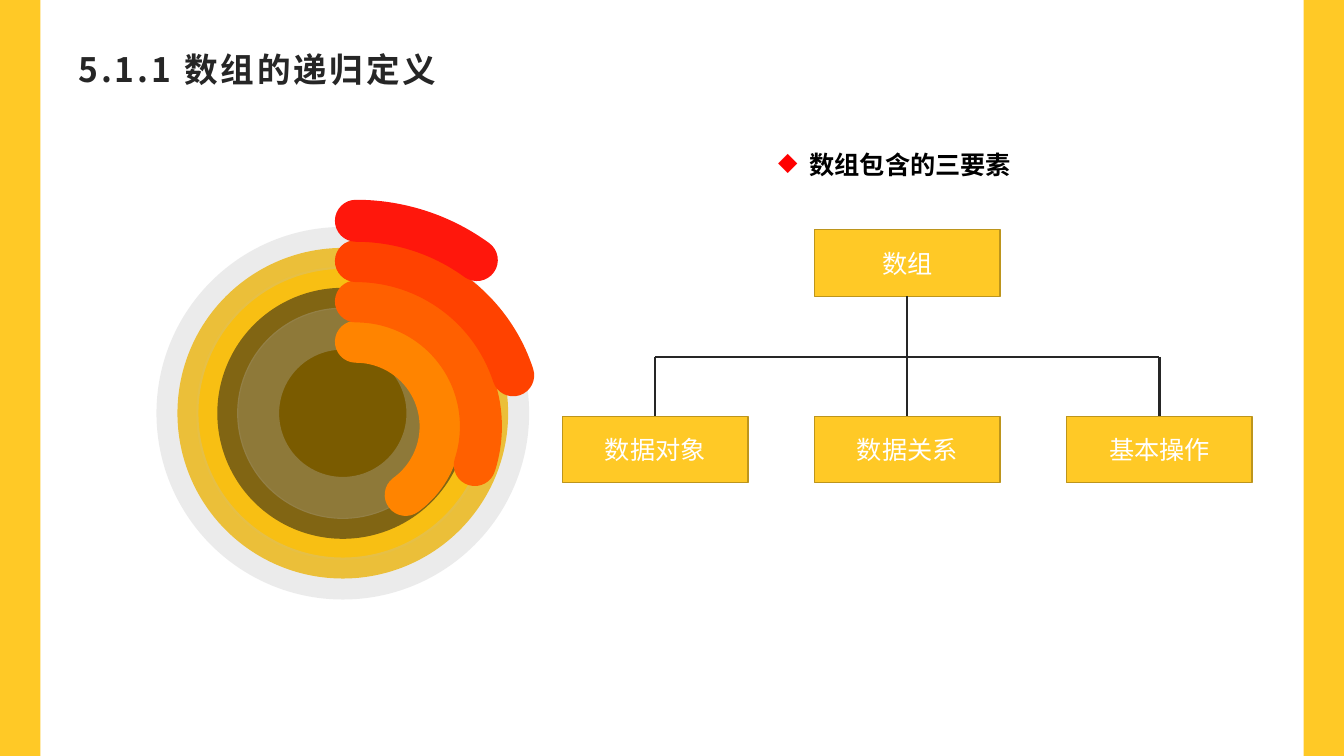
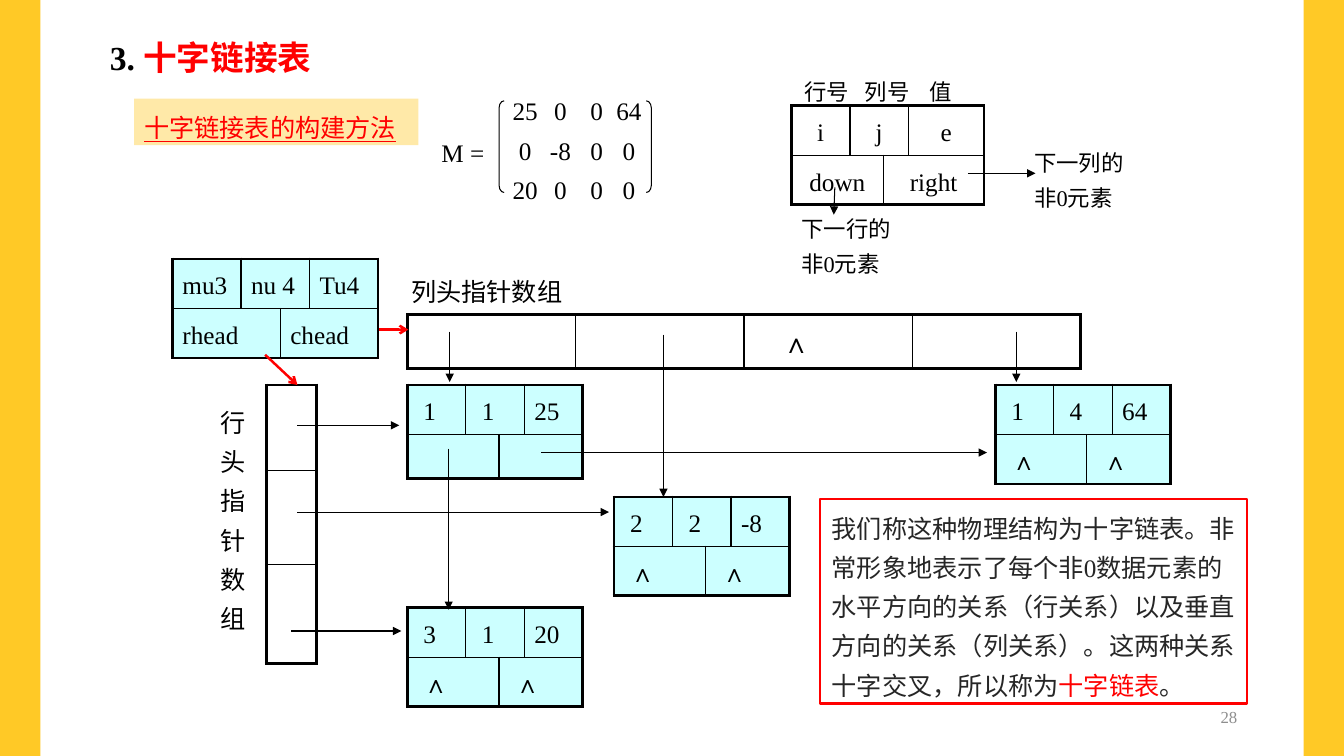
from dataclasses import dataclass

from lxml import etree
from pptx import Presentation
from pptx.dml.color import RGBColor
from pptx.enum.shapes import MSO_CONNECTOR, MSO_SHAPE
from pptx.enum.text import MSO_ANCHOR, PP_ALIGN
from pptx.oxml.ns import qn
from pptx.util import Inches, Pt

RECT, OVAL, ARC = MSO_SHAPE.RECTANGLE, MSO_SHAPE.OVAL, MSO_SHAPE.ARC
LEFT_BRACKET, RIGHT_BRACKET = MSO_SHAPE.LEFT_BRACKET, MSO_SHAPE.RIGHT_BRACKET
STRAIGHT = MSO_CONNECTOR.STRAIGHT
TOP, MIDDLE = MSO_ANCHOR.TOP, MSO_ANCHOR.MIDDLE
LEFT, CENTER, RIGHT = PP_ALIGN.LEFT, PP_ALIGN.CENTER, PP_ALIGN.RIGHT


@dataclass(frozen=True)
class Theme:
    latin: str = "Times New Roman"
    cjk: str = "Noto Sans CJK SC"
    yellow: str = "FFC926"
    yellow_edge: str = "BD951C"
    cream: str = "FFE9A8"
    gold: str = "FFC000"
    silver: str = "BFBFBF"
    cyan: str = "CCFFFF"
    red: str = "FF0000"
    ink: str = "262626"
    black: str = "000000"
    white: str = "FFFFFF"
    grey: str = "8E8E8E"
    arcs: tuple = ("FF8400", "FF6000", "FF4200", "FF170C")
    title: int = 24
    mark: int = 20
    body: int = 18
    label: int = 16
    footer: int = 12
    spacing: float = 1.3
    ring: int = 30
    outer: float = 2.25
    inner: float = 1


T = Theme()


def sub(parent, tag, **attrs):
    child = etree.SubElement(parent, qn(tag))
    for name, value in attrs.items():
        child.set(name, str(value))
    return child


def set_alpha(parent, percent):
    sub(parent.find(".//" + qn("a:srgbClr")), "a:alpha", val=percent * 1000)


def write(tf, paragraphs, size=T.body, color=T.black, bold=False, align=LEFT,
          spacing=T.spacing, latin=T.latin):
    """Each paragraph is a string or a list of (text, colour) pairs."""
    tf.word_wrap = True
    for i, content in enumerate(paragraphs):
        p = tf.paragraphs[0] if i == 0 else tf.add_paragraph()
        p.alignment = align
        p.line_spacing = spacing
        runs = [(content, color)] if isinstance(content, str) else content
        for value, run_color in runs:
            r = p.add_run()
            r.text = value
            r.font.size = Pt(size)
            r.font.bold = bold
            r.font.color.rgb = RGBColor.from_string(run_color)
            r.font.name = latin
            sub(r.font._element, "a:ea", typeface=T.cjk)


def add_text(s, box, *paragraphs, anchor=TOP, **style):
    tf = s.shapes.add_textbox(*map(Inches, box)).text_frame
    write(tf, paragraphs, **style)
    tf.vertical_anchor = anchor
    return tf


def add_tabs(tf, stops):
    for p in tf.paragraphs:
        tabs = sub(p._p.get_or_add_pPr(), "a:tabLst")
        for stop in stops:
            sub(tabs, "a:tab", pos=Inches(stop), algn="ctr")


def add_shape(s, kind, box, fill=None, line=None, width=1, fill_alpha=None, line_alpha=None):
    sp = s.shapes.add_shape(kind, *map(Inches, box))
    sp.shadow.inherit = False
    spPr = sp._element.spPr
    if fill:
        sp.fill.solid()
        sp.fill.fore_color.rgb = RGBColor.from_string(fill)
        if fill_alpha:
            set_alpha(spPr.find(qn("a:solidFill")), fill_alpha)
    else:
        sp.fill.background()
    if line:
        sp.line.color.rgb = RGBColor.from_string(line)
        sp.line.width = Pt(width)
        if line_alpha:
            set_alpha(spPr.find(qn("a:ln")), line_alpha)
    else:
        sp.line.fill.background()
    return sp


def add_line(s, start, end, color=T.black, width=0.75, tail=None):
    line = s.shapes.add_connector(STRAIGHT, *map(Inches, start + end))
    line.line.color.rgb = RGBColor.from_string(color)
    line.line.width = Pt(width)
    spPr = line._element.spPr
    if tail:
        sub(spPr.find(qn("a:ln")), "a:tailEnd", type=tail)
    sub(spPr, "a:effectLst")
    return line


def set_borders(cell, edges):
    """edges tells, for each side, whether it lies on the table's outer frame."""
    tcPr = cell._tc.get_or_add_tcPr()
    for side in "LRTB":
        ln = sub(tcPr, "a:ln" + side, w=Pt(T.outer if edges[side] else T.inner))
        sub(sub(ln, "a:solidFill"), "a:srgbClr", val=T.black)


def add_grid(s, left, top, cols, rows, merges=(), fill=None):
    frame = s.shapes.add_table(len(rows), len(cols), Inches(left), Inches(top),
                               Inches(sum(cols)), Inches(sum(rows)))
    table = frame.table
    table.first_row = table.horz_banding = False
    for col, width in zip(table.columns, cols):
        col.width = Inches(width)
    for row, height in zip(table.rows, rows):
        row.height = Inches(height)
    for r, first, last in merges:
        table.cell(r, first).merge(table.cell(r, last))
    for r in range(len(rows)):
        for c in range(len(cols)):
            cell = table.cell(r, c)
            if cell.is_spanned:
                continue
            set_borders(cell, {"L": c == 0, "R": c + cell.span_width == len(cols),
                               "T": r == 0, "B": r == len(rows) - 1})
            if fill:
                cell.fill.solid()
                cell.fill.fore_color.rgb = RGBColor.from_string(fill)
            else:
                cell.fill.background()
    return table


def add_node(s, left, top, texts, cols=(0.58, 0.33, 0.25, 0.58), fill=T.cyan,
             indent=0.16, align=LEFT):
    """A list node: three fields above two pointers."""
    table = add_grid(s, left, top, cols, (0.47, 0.44),
                     merges=((0, 1, 2), (1, 0, 1), (1, 2, 3)), fill=fill)
    for (r, c), value in zip(((0, 0), (0, 1), (0, 3), (1, 0), (1, 2)), texts):
        if value:
            cell = table.cell(r, c)
            cell.margin_left = Inches(0.1 if (r, c) == (0, 3) else indent)
            write(cell.text_frame, [value], align=align)


def new_slide(prs):
    s = prs.slides.add_slide(prs.slide_layouts[6])
    for left in (0, 12.93):
        add_shape(s, RECT, (left, 0, 0.4, 7.5), T.yellow)
    return s


def square(cx, cy, size):
    return cx - size / 2, cy - size / 2, size, size


def add_rings(s):
    for size, fill, fill_alpha, line_alpha in ((3.28, T.gold, None, 30),
                                               (2.49, T.black, 52, 10),
                                               (1.68, None, None, 30)):
        add_shape(s, OVAL, square(3.4, 4.1, size), fill, T.silver, T.ring,
                  fill_alpha, line_alpha)
    for i, color in enumerate(T.arcs):
        arc = add_shape(s, ARC, square(3.53, 4.23, 1.68 + 0.8 * i), None, color, T.ring)
        arc.adjustments[0] = 270 * 0.6
        arc.adjustments[1] = (54 - 36 * i) % 360 * 0.6
        arc._element.spPr.find(qn("a:ln")).set("cap", "rnd")


def add_tree_box(s, left, top, label):
    sp = add_shape(s, RECT, (left, top, 1.84, 0.66), T.yellow, T.yellow_edge)
    write(sp.text_frame, [label], color=T.white, align=CENTER, spacing=1)
    sp.text_frame.vertical_anchor = MIDDLE
    return sp


def add_tree(s):
    left, pitch, bus_y, child_y = 5.58, 2.5, 3.54, 4.13
    root = add_tree_box(s, left + pitch, 2.28, "数组")
    xs = [left + 0.92 + pitch * i for i in range(3)]
    for i, label in enumerate(("数据对象", "数据关系", "基本操作")):
        child = add_tree_box(s, left + pitch * i, child_y, label)
        stem = add_line(s, (xs[i], bus_y), (xs[i], child_y), T.ink, 1.5)
        if i == 1:
            stem.begin_connect(root, 2)
        stem.end_connect(child, 0)
    add_line(s, (xs[0], bus_y), (xs[2], bus_y), T.ink, 1.5)


def build_definition(prs):
    s = new_slide(prs)
    tf = add_text(s, (0.68, 0.44, 11.97, 0.94), "5.1.1 数组的递归定义", size=T.title,
                  color=T.ink, bold=True, spacing=1, latin=T.cjk)
    tf.paragraphs[0].runs[0].font._element.set("spc", "200")
    add_rings(s)
    add_tree(s)
    tf = add_text(s, (7.62, 1.34, 2.77, 0.46), "数组包含的三要素", bold=True)
    pPr = tf.paragraphs[0]._p.get_or_add_pPr()
    pPr.set("marL", str(Inches(0.31)))
    pPr.set("indent", str(-Inches(0.31)))
    sub(sub(pPr, "a:buClr"), "a:srgbClr", val=T.red)
    sub(pPr, "a:buChar", char="◆")


def add_matrix(s):
    add_text(s, (4.28, 1.22, 0.75, 0.46), "M =")
    tf = add_text(s, (4.98, 0.81, 1.6, 1.24),
                  "\t25\t0\t0\t64", "\t0\t-8\t0\t0", "\t20\t0\t0\t0")
    add_tabs(tf, (0.13, 0.48, 0.84, 1.16))
    for kind, left in ((LEFT_BRACKET, 4.95), (RIGHT_BRACKET, 6.41)):
        bracket = add_shape(s, kind, (left, 1, 0.05, 0.91), None, T.black, 0.75)
        bracket.adjustments[0] = 1.42


def add_legend(s):
    add_node(s, 7.85, 1.05, ("i", "j", "e", "down", "right"),
             (0.58, 0.33, 0.25, 0.75), fill=None, indent=0.1, align=CENTER)
    tf = add_text(s, (7.84, 0.65, 1.9, 0.42), "\t行号\t列号\t值", size=T.label)
    add_tabs(tf, (0.26, 0.86, 1.39))
    add_text(s, (7.85, 2.01, 1.3, 0.77), "下一行的", "非0元素", size=T.label)
    add_text(s, (10.16, 1.35, 1.3, 0.77), "下一列的", "非0元素", size=T.label)


def add_linked_list(s):
    add_node(s, 1.71, 2.57, ("mu3", "nu 4", "Tu4", "rhead", "chead"),
             (0.68, 0.39, 0.29, 0.68), indent=0.1)
    for left, top, *texts in ((4.04, 3.82, "1", "1", "25", "", ""),
                              (9.87, 3.82, "1", "4", "64", "∧", "∧"),
                              (6.09, 4.93, "2", "2", "-8", "∧", "∧"),
                              (4.04, 6.03, "3", "1", "20", "∧", "∧")):
        add_node(s, left, top, texts)
    add_grid(s, 2.64, 3.82, (0.5,), (0.85, 0.93, 0.98))
    empty = add_grid(s, 4.04, 3.12, (1.67,) * 4, (0.53,)).cell(0, 2)
    empty.margin_left = Inches(0.38)
    write(empty.text_frame, ["∧"], size=T.mark, bold=True)
    add_text(s, (3.98, 2.6, 1.8, 0.46), "列头指针数组")
    add_text(s, (2.09, 3.9, 0.5, 2.43), *"行头指针数组")


def add_pointers(s):
    for start, end in (((2.95, 4.22), (3.96, 4.22)), ((5.37, 4.49), (9.79, 4.49)),
                       ((2.89, 6.26), (3.98, 6.26)), ((2.95, 5.08), (6.04, 5.08)),
                       ((4.46, 3.29), (4.46, 3.79)), ((10.08, 3.29), (10.08, 3.79)),
                       ((6.58, 3.32), (6.58, 4.93)), ((4.45, 4.45), (4.45, 6.05)),
                       ((8.28, 1.86), (8.27, 2.13)), ((9.6, 1.72), (10.27, 1.72))):
        add_line(s, start, end, tail="triangle")
    for start, end in (((3.76, 3.27), (4.05, 3.27)), ((2.63, 3.52), (2.95, 3.82))):
        add_line(s, start, end, T.red, 1.75, "arrow")


def build_cross_list(prs):
    s = new_slide(prs)
    add_text(s, (0.99, 0.2, 2.82, 0.57), [("3. ", T.black), ("十字链接表", T.red)],
             size=T.title, bold=True)
    method = add_shape(s, RECT, (1.33, 0.98, 2.82, 0.46), T.cream).text_frame
    write(method, ["十字链接表的构建方法"], color=T.red)
    method.vertical_anchor = TOP
    method.paragraphs[0].runs[0].font.underline = True
    add_matrix(s)
    add_legend(s)
    add_linked_list(s)
    add_pointers(s)
    summary = add_shape(s, RECT, (8.13, 4.95, 4.24, 2.03), None, T.red, 1.5).text_frame
    write(summary, [[("我们称这种物理结构为十字链表。非常形象地表示了每个非0数据元素的"
                      "水平方向的关系（行关系）以及垂直方向的关系（列关系）。"
                      "这两种关系十字交叉，所以称为", T.ink),
                     ("十字链表", T.red), ("。", T.ink)]])
    summary.vertical_anchor = TOP
    summary.margin_left, summary.margin_right = Inches(0.12), Inches(0.08)
    add_text(s, (9.42, 6.94, 2.95, 0.35), "28", size=T.footer, color=T.grey,
             align=RIGHT, spacing=1, anchor=MIDDLE)


def main():
    prs = Presentation()
    prs.slide_width, prs.slide_height = Inches(13.33), Inches(7.5)
    build_definition(prs)
    build_cross_list(prs)
    prs.save("out.pptx")


if __name__ == "__main__":
    main()
